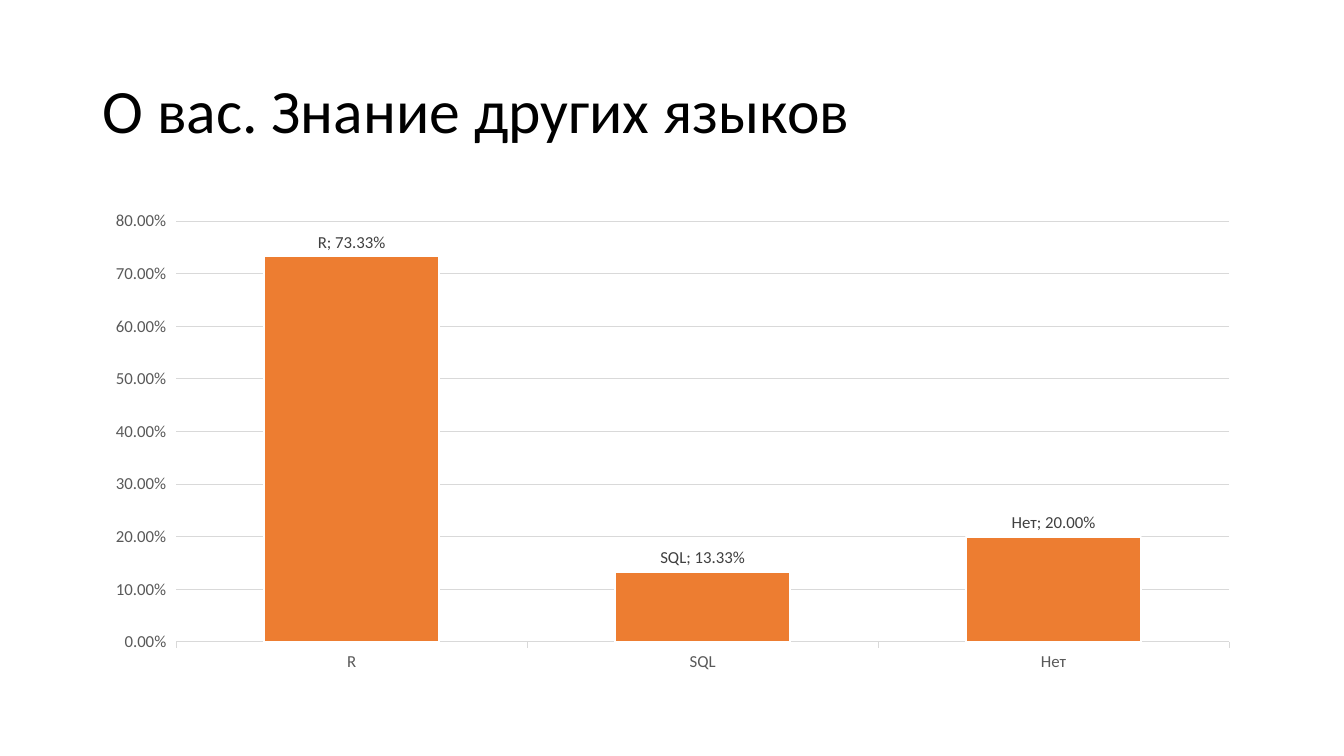
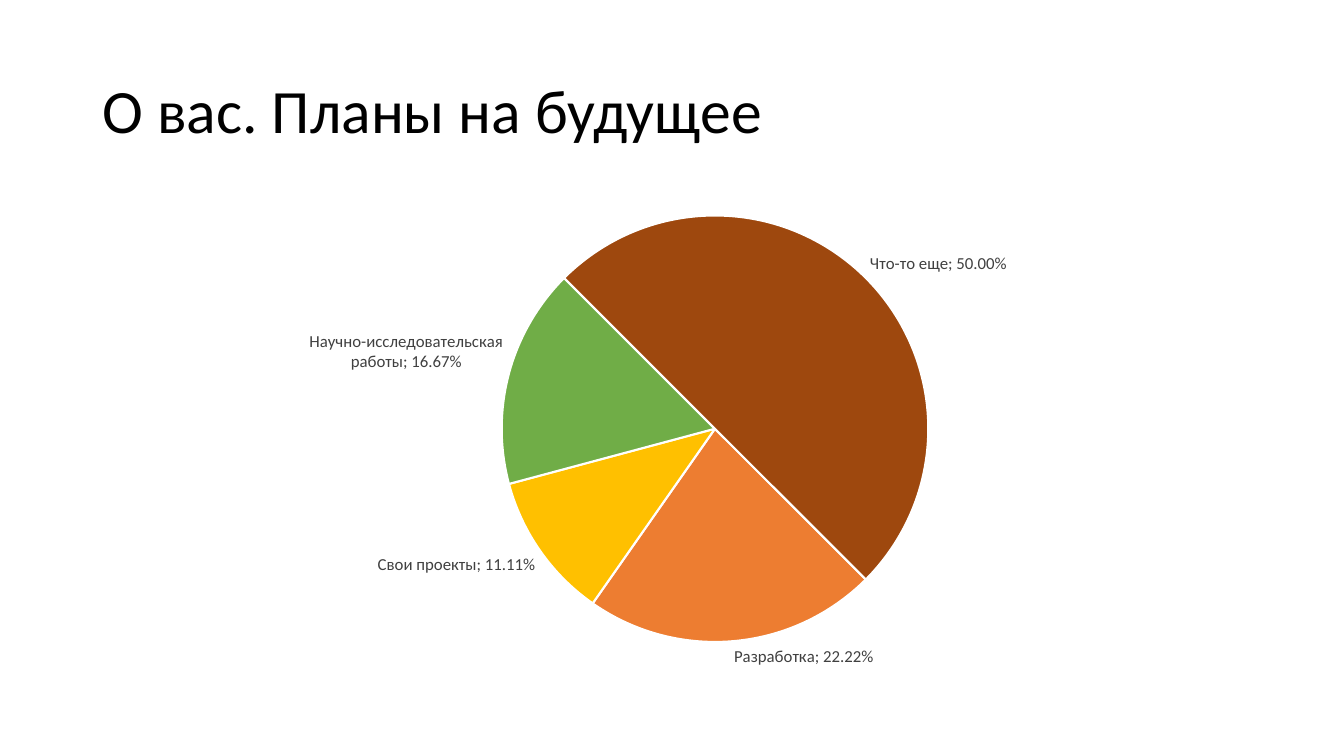
"""Build two survey slides: a column chart and a pie chart."""
from dataclasses import dataclass

from lxml import etree
from pptx import Presentation
from pptx import util as u
from pptx.chart.data import CategoryChartData
from pptx.dml.color import RGBColor
from pptx.enum import chart as ch, text as tx
from pptx.oxml.ns import qn

FONT = "Calibri"
BLACK, WHITE, GRID = "000000", "FFFFFF", "D9D9D9"
AXIS, LABEL = "595959", "404040"
ORANGE, GOLD, GREEN, BROWN = "ED7D31", "FFC000", "70AD47", "9E480E"
LEFT, WIDTH = 0.92, 11.5
RATE = "0.00%"


@dataclass
class Poll:
    """Title, chart kind and answers of one slide."""

    title: str
    kind: ch.XL_CHART_TYPE
    data: dict[str, float]
    tints: list[str]


POLLS = [
    Poll("О вас. Знание других языков", ch.XL_CHART_TYPE.COLUMN_CLUSTERED,
         {"R": 0.7333, "SQL": 0.1333, "Нет": 0.2}, [ORANGE] * 3),
    Poll("О вас. Планы на будущее", ch.XL_CHART_TYPE.PIE,
         {"Разработка": 0.2222, "Свои проекты": 0.1111,
          "Научно-исследовательская работы": 0.1667, "Что-то еще": 0.5},
         [ORANGE, GOLD, GREEN, BROWN]),
]


def tint(code: str) -> RGBColor:
    """Turn a hex string into a colour."""
    return RGBColor.from_string(code)


def style(font, size: float, color: str) -> None:
    """Set face, size and colour of a font."""
    font.name, font.size = FONT, u.Pt(size)
    font.color.rgb = tint(color)


def stroke(line, color: str, width: float) -> None:
    """Set colour and width of a line."""
    line.color.rgb, line.width = tint(color), u.Pt(width)


def write(slide, words: str, *, top: float, high: float, size: float,
          color: str = BLACK, lead: float = 0.9) -> None:
    """Add a line of text in a box centred on its height."""
    box = slide.shapes.add_textbox(u.Inches(LEFT), u.Inches(top),
                                   u.Inches(WIDTH), u.Inches(high))
    frame = box.text_frame
    frame.word_wrap = True
    frame.vertical_anchor = tx.MSO_ANCHOR.MIDDLE
    para = frame.paragraphs[0]
    para.line_spacing = lead
    run = para.add_run()
    run.text = words
    style(run.font, size, color)


def label(series) -> None:
    """Show category and value outside each point."""
    marks = series.data_labels
    marks.show_category_name = marks.show_value = True
    marks.number_format, marks.number_format_is_linked = RATE, False
    marks.position = ch.XL_LABEL_POSITION.OUTSIDE_END
    style(marks.font, 12, LABEL)
    gap = etree.Element(qn("c:separator"))
    gap.text = "; "
    series._element.find(".//" + qn("c:showBubbleSize")).addnext(gap)


def axes(chart) -> None:
    """Format both axes and the grid of a column chart."""
    for axis in (chart.category_axis, chart.value_axis):
        style(axis.tick_labels.font, 12, AXIS)
        axis.major_tick_mark = ch.XL_TICK_MARK.OUTSIDE
        axis.minor_tick_mark = ch.XL_TICK_MARK.NONE
    stroke(chart.category_axis.format.line, GRID, 0.75)
    value = chart.value_axis
    value.format.line.fill.background()
    value.has_major_gridlines = True
    stroke(value.major_gridlines.format.line, GRID, 0.75)
    value.tick_labels.number_format = RATE
    value.tick_labels.number_format_is_linked = False


def plot(slide, poll: Poll) -> None:
    """Add the chart of a poll."""
    data = CategoryChartData(number_format=RATE)
    data.categories = list(poll.data)
    data.add_series("Series 1", list(poll.data.values()))
    chart = slide.shapes.add_chart(
        poll.kind, u.Inches(LEFT), u.Inches(2), u.Inches(WIDTH),
        u.Inches(4.76), data).chart
    chart.has_title = chart.has_legend = False
    style(chart.font, 10, BLACK)
    body = chart.plots[0]
    pie = poll.kind == ch.XL_CHART_TYPE.PIE
    body.vary_by_categories = pie
    series = body.series[0]
    series.format.fill.solid()
    series.format.fill.fore_color.rgb = tint(poll.tints[0])
    stroke(series.format.line, WHITE, 1.5)
    for spot, color in enumerate(poll.tints):
        form = series.points[spot].format
        form.fill.solid()
        form.fill.fore_color.rgb = tint(color)
        stroke(form.line, WHITE, 1.5)
    label(series)
    if pie:
        root = series._element.getparent()
        etree.SubElement(root, qn("c:firstSliceAng")).set("val", "135")
    else:
        body.gap_width = 100
        axes(chart)


def main() -> None:
    """Build and save the slides."""
    deck = Presentation()
    deck.slide_width, deck.slide_height = u.Inches(13.33), u.Inches(7.5)
    for poll in POLLS:
        slide = deck.slides.add_slide(deck.slide_layouts[6])
        write(slide, poll.title, top=0.4, high=1.45, size=44)
        plot(slide, poll)
    deck.save("out.pptx")


if __name__ == "__main__":
    main()
